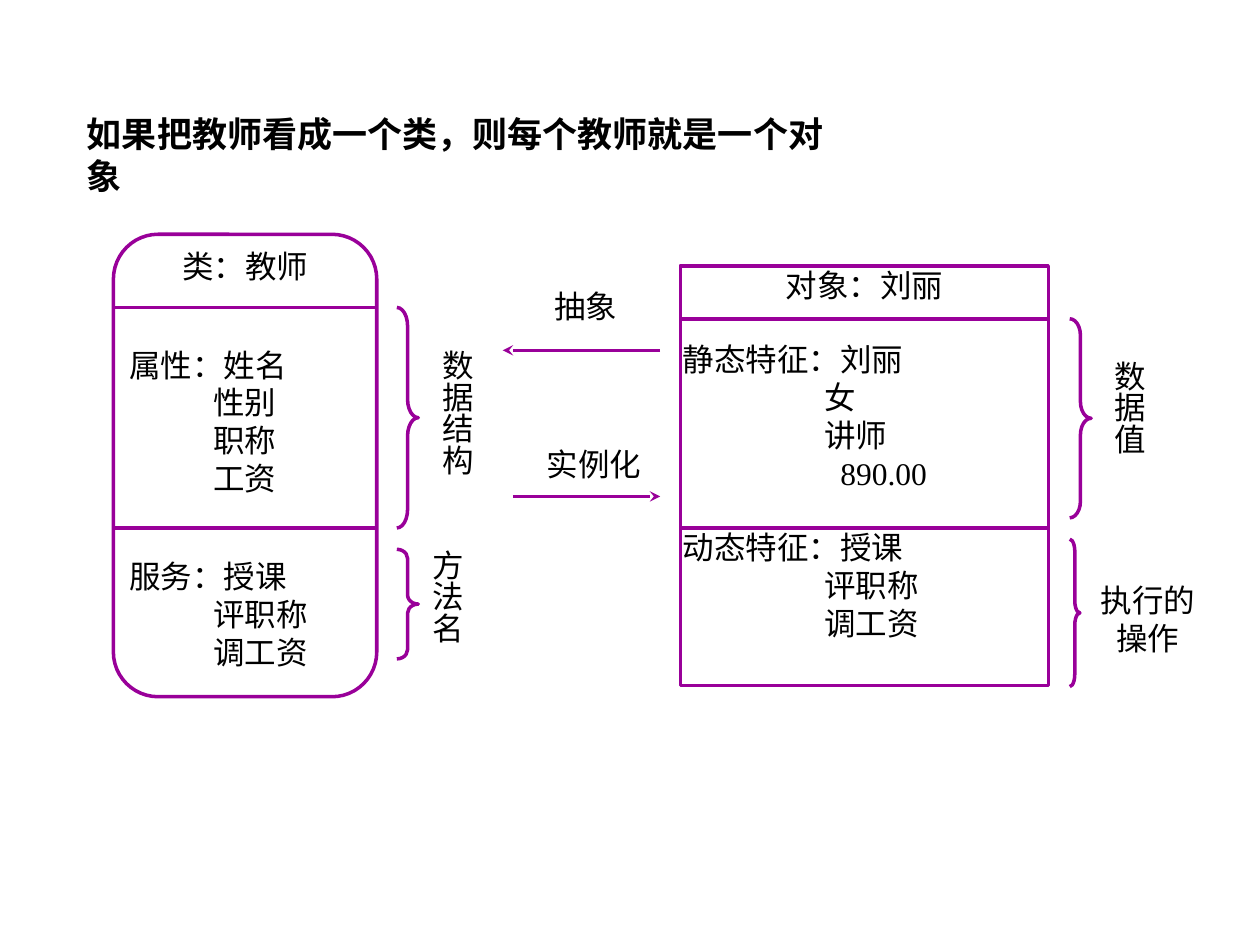
from pptx import Presentation
from pptx.dml.color import RGBColor
from pptx.enum.shapes import MSO_CONNECTOR as Connector, MSO_SHAPE as Shape
from pptx.enum.text import MSO_ANCHOR as Anchor, PP_ALIGN as Align
from pptx.oxml.ns import qn
from pptx.util import Inches, Pt
from lxml.etree import SubElement

COLORS = {"line": "990099", "text": "000000"}
LATIN_FONT, ASIAN_FONT = "Times New Roman", "Noto Sans CJK SC"


class DiagramSlide:
    line_width = Pt(2)
    text_size = 18

    def __init__(self, presentation):
        self.slide = presentation.slides.add_slide(presentation.slide_layouts[5])
        self.shapes = self.slide.shapes

    def format_text(self, text_frame, text, align, size=text_size, bold=False,
                    inset=(0.02, 0), wrap=True):
        text_frame.text = text
        text_frame.word_wrap = wrap
        text_frame.vertical_anchor = Anchor.TOP
        text_frame.margin_left = text_frame.margin_right = Inches(inset[0])
        text_frame.margin_top = text_frame.margin_bottom = Inches(inset[1])
        for paragraph in text_frame.paragraphs:
            paragraph.alignment = align
            paragraph.line_spacing = Pt(size * 1.2)
            for run in paragraph.runs:
                run.font.name = LATIN_FONT
                run.font.size = Pt(size)
                run.font.bold = bold
                run.font.color.rgb = RGBColor.from_string(COLORS["text"])
                properties = run.font._element
                SubElement(properties, qn("a:ea")).set("typeface", ASIAN_FONT)

    def style_outline(self, line):
        line.color.rgb = RGBColor.from_string(COLORS["line"])
        line.width = self.line_width

    def title(self, text, left, top, width, height):
        title = self.shapes.title
        title.left, title.top = Inches(left), Inches(top)
        title.width, title.height = Inches(width), Inches(height)
        self.format_text(title.text_frame, text, Align.LEFT, 20, True, (0.1, 0.05), False)

    def label(self, text, left, top, width, height, align=Align.JUSTIFY, vertical=False):
        box = self.shapes.add_textbox(Inches(left), Inches(top), Inches(width), Inches(height))
        self.format_text(box.text_frame, text, align, inset=(0, 0))
        if vertical:
            box.text_frame.margin_right = Inches(0.04)
            box.element.txBody.bodyPr.set("vert", "eaVert")

    def outline(self, kind, left, top, width, height):
        shape = self.shapes.add_shape(kind, Inches(left), Inches(top), Inches(width), Inches(height))
        shape.shadow.inherit = False
        shape.fill.background()
        self.style_outline(shape.line)
        return shape

    def line(self, start_x, start_y, end_x, end_y, arrow=False):
        connector = self.shapes.add_connector(
            Connector.STRAIGHT, Inches(start_x), Inches(start_y), Inches(end_x), Inches(end_y))
        self.style_outline(connector.line)
        if arrow:
            SubElement(connector.line._get_or_add_ln(), qn("a:tailEnd")).set("type", "stealth")
        SubElement(connector.element.spPr, qn("a:effectLst"))

    def brace(self, left, top, width, height):
        brace = self.outline(Shape.RIGHT_BRACE, left, top, width, height)
        brace.adjustments[0] = height / 12 / width
        brace.adjustments[1] = 0.5

    def compartment_box(self, kind, left, top, width, height, heading, sections,
                        section_gap, indents, dividers):
        """Box with a heading and sections, each a first line and indented items."""
        box = self.outline(kind, left, top, width, height)
        lines = [heading] + [text for section in sections for text in section]
        self.format_text(box.text_frame, "\n".join(lines), Align.JUSTIFY)
        first_lines = [section[0] for section in sections]
        for paragraph in box.text_frame.paragraphs:
            if paragraph.text == heading:
                paragraph.alignment = Align.CENTER
            elif paragraph.text in first_lines:
                paragraph.space_before = Pt(section_gap)
            else:
                properties = paragraph._p.get_or_add_pPr()
                indent = indents["number" if paragraph.text[0].isdigit() else "word"]
                properties.set("marL", str(Inches(indent)))
                properties.set("indent", "0")
        for y in dividers:
            self.line(left, y, left + width, y)
        return box


def main():
    presentation = Presentation()
    presentation.slide_width, presentation.slide_height = Inches(10), Inches(7.5)
    diagram = DiagramSlide(presentation)
    diagram.title("如果把教师看成一个类，则每个教师就是一个对象", 0.59, 0.84, 6.32, 0.44)

    # Class on the left
    class_box = diagram.compartment_box(
        Shape.ROUNDED_RECTANGLE, 0.9, 1.86, 2.09, 3.67, "类：教师",
        [["属性：姓名", "性别", "职称", "工资"], ["服务：授课", "评职称", "调工资"]],
        34.5, {"word": 0.67}, [2.44, 4.19])
    class_box.adjustments[0] = 0.17

    # Object on the right
    diagram.compartment_box(
        Shape.RECTANGLE, 5.4, 2.11, 2.92, 3.33, "对象：刘丽",
        [["静态特征：刘丽", "女", "讲师", "890.00"], ["动态特征：授课", "评职称", "调工资"]],
        21, {"word": 1.12, "number": 1.25}, [2.53, 4.19])

    # Braces beside the compartments
    for brace in [(3.15, 2.44, 0.17, 1.75), (3.15, 4.36, 0.17, 0.87),
                  (8.49, 2.53, 0.17, 1.58), (8.49, 4.28, 0.08, 1.17)]:
        diagram.brace(*brace)

    # Brace labels
    for text, *place in [("数据结构", 3.49, 2.78, 0.33, 1.33),
                         ("方法名", 3.32, 4.36, 0.42, 0.92),
                         ("数据值", 8.57, 2.86, 0.58, 0.92)]:
        diagram.label(text, *place, vertical=True)
    diagram.label("执行的\n操作", 8.65, 4.61, 0.92, 0.92, Align.CENTER)

    # Arrows between class and object
    diagram.label("抽象", 4.4, 2.28, 0.83, 0.42)
    diagram.line(5.24, 2.78, 3.99, 2.78, arrow=True)
    diagram.label("实例化", 4.34, 3.53, 0.9, 0.33)
    diagram.line(4.07, 3.94, 5.24, 3.94, arrow=True)

    presentation.save("out.pptx")


if __name__ == "__main__":
    main()
